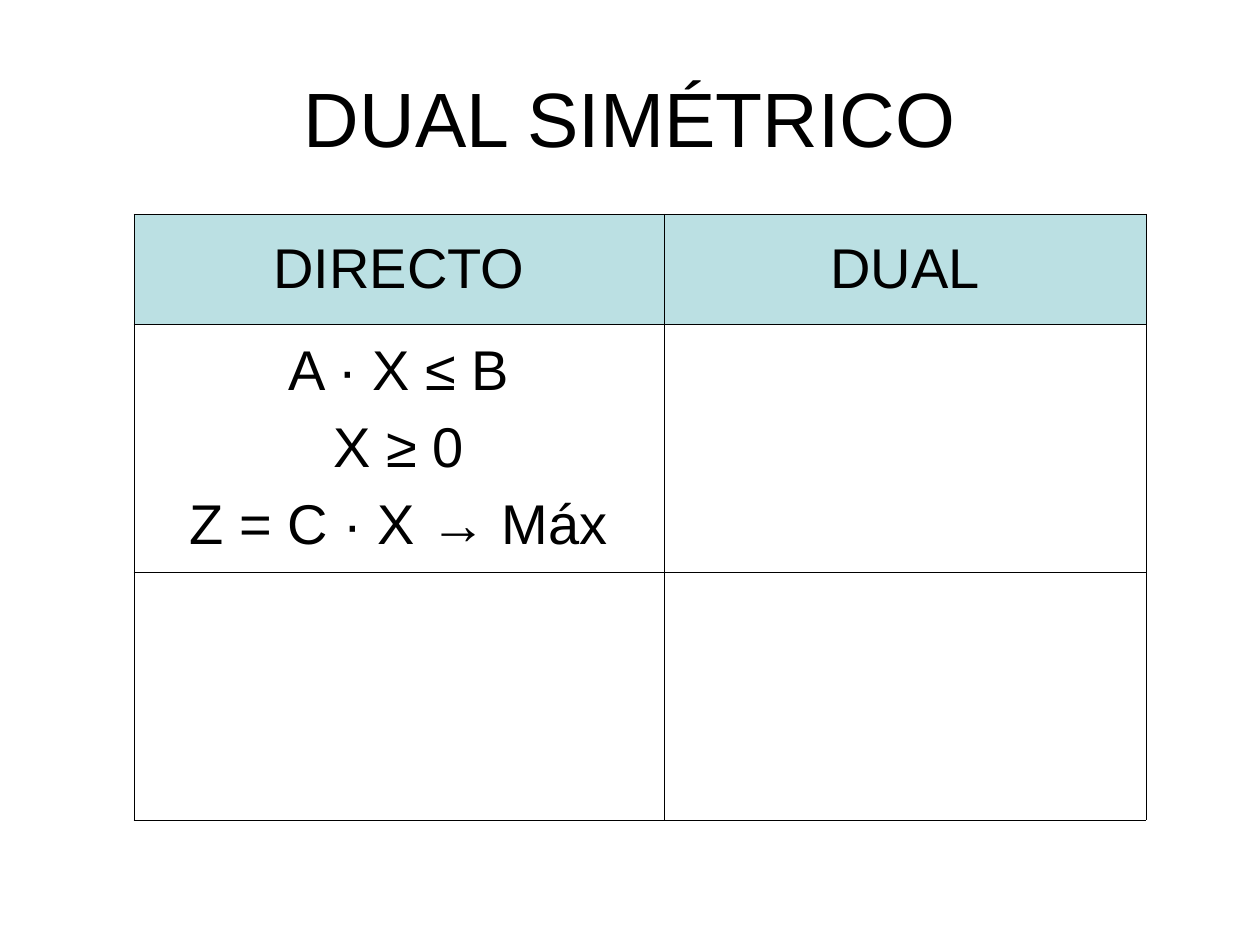
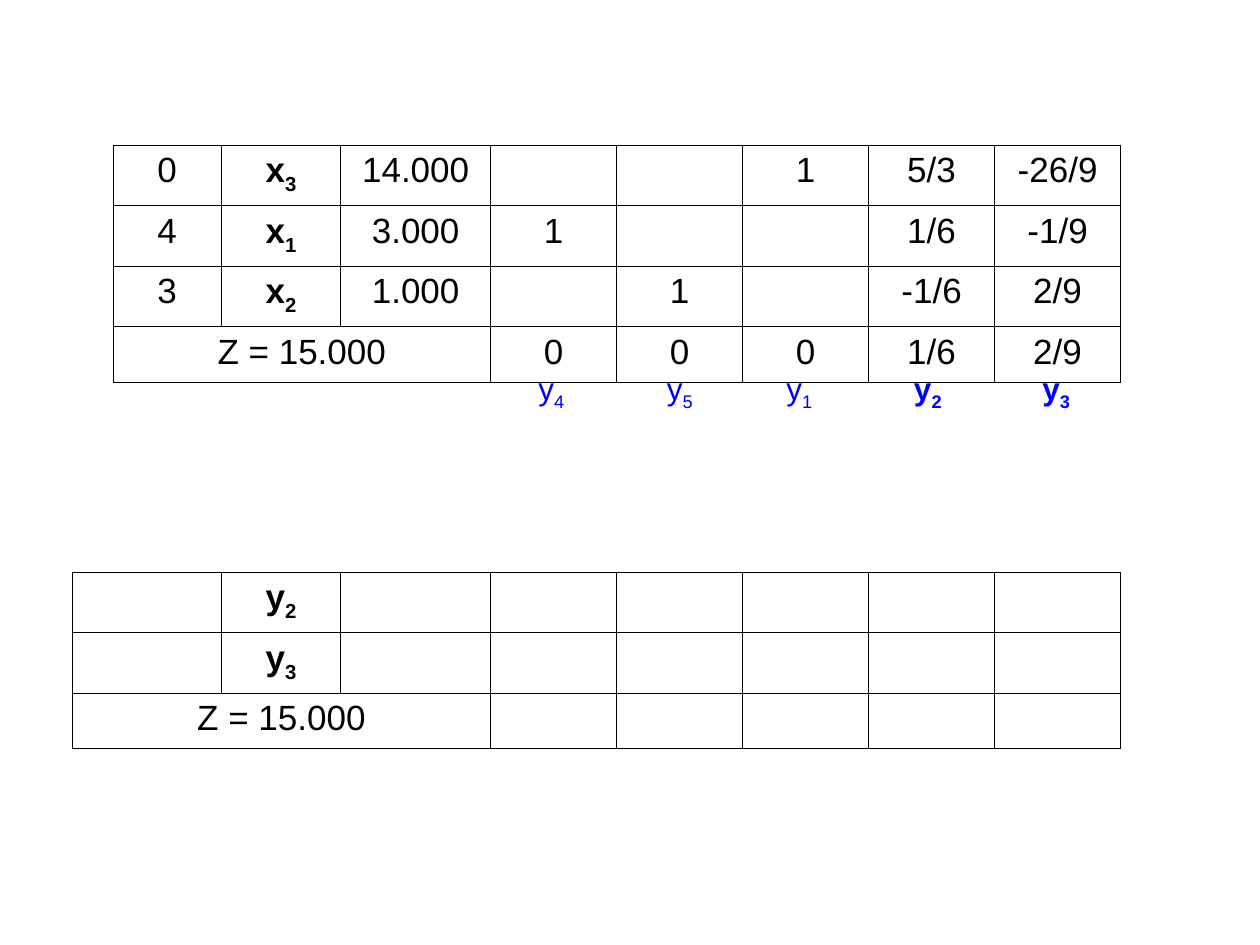
from lxml.etree import SubElement as Sub
from pptx import Presentation
from pptx.dml.color import RGBColor as Rgb
from pptx.enum.text import MSO_ANCHOR as Anchor, PP_ALIGN as Align
from pptx.oxml.ns import qn
from pptx.util import Cm, Pt

BLACK = Rgb(0, 0, 0)
BLUE = Rgb(0, 0, 255)
TEAL = Rgb(0xBB, 0xE0, 0xE3)
FONT = "Arial"
EDGE = Pt(0.45)
RIGHT = 22.59
SIDE = 2.54
TALL, LOW = 1.22, 1.12
TOTAL = "Z = 15.000"

FORMS = [
    ["DIRECTO", "DUAL"],
    ["A · X ≤ B\nX ≥ 0\nZ = C · X → Máx", ""],
    ["", ""],
]
PRIMAL = [
    ["0", "x_3", "14.000", "", "", "1", "5/3", "-26/9"],
    ["4", "x_1", "3.000", "1", "", "", "1/6", "-1/9"],
    ["3", "x_2", "1.000", "", "1", "", "-1/6", "2/9"],
    [TOTAL, "", "", "0", "0", "0", "1/6", "2/9"],
]
DUAL = [
    ["", "y_2"] + [""] * 6,
    ["", "y_3"] + [""] * 6,
    [TOTAL] + [""] * 7,
]
LABELS = [
    ("y_4", 9.91, False),
    ("y_5", 12.5, False),
    ("y_1", 14.91, False),
    ("y_2", 17.5, True),
    ("y_3", 20.09, True),
]


def write(frame, text, size=20, color=BLACK, bold=False, gap=0):
    for i, line in enumerate(text.split("\n")):
        para = frame.add_paragraph() if i else frame.paragraphs[0]
        para.alignment = Align.CENTER
        if i:
            para.space_before = Pt(gap)
        for k, part in enumerate(line.split("_")):
            run = para.add_run()
            run.text = part
            font = run.font
            font.name, font.size, font.bold = FONT, Pt(size), bold
            font.color.rgb = color
            if k:
                font._element.set("baseline", "-25000")


def border(cell):
    props = cell._tc.get_or_add_tcPr()
    for side in ("lnL", "lnR", "lnT", "lnB"):
        line = Sub(props, qn(f"a:{side}"), w=str(int(EDGE)))
        fill = Sub(line, qn("a:solidFill"))
        Sub(fill, qn("a:srgbClr"), val=str(BLACK))


def add_grid(slide, rows, left, top, wide, high, head=None,
             anchor=Anchor.TOP, size=20, gap=0):
    frame = slide.shapes.add_table(
        len(rows), len(wide), Cm(left), Cm(top), Cm(sum(wide)), Cm(sum(high)))
    grid = frame.table
    grid.first_row = grid.horz_banding = False
    for col, width in zip(grid.columns, wide):
        col.width = Cm(width)
    for r, (row, texts) in enumerate(zip(grid.rows, rows)):
        row.height = Cm(high[r])
        for cell, text in zip(row.cells, texts):
            border(cell)
            cell.vertical_anchor = anchor
            if head and r == 0:
                cell.fill.solid()
                cell.fill.fore_color.rgb = head
            else:
                cell.fill.background()
            if text:
                write(cell.text_frame, text, size, bold="_" in text, gap=gap)
    return grid


def add_tableau(slide, rows, top, first):
    wide = [first, 2.41, 3.02] + [SIDE] * 5
    high = [TALL] * (len(rows) - 1) + [LOW]
    grid = add_grid(slide, rows, RIGHT - sum(wide), top, wide, high)
    last = len(rows) - 1
    grid.cell(last, 0).merge(grid.cell(last, 2))


def add_label(slide, text, left, bold):
    box = slide.shapes.add_textbox(Cm(left), Cm(7.32), Cm(2.41), Cm(1.12))
    box.text_frame.word_wrap = True
    write(box.text_frame, text, 18, BLUE, bold)


def add_title(slide, text):
    title = slide.shapes.title
    title.left, title.top = Cm(1.27), Cm(0.76)
    title.width, title.height = Cm(22.86), Cm(3.18)
    title.text_frame.vertical_anchor = Anchor.MIDDLE
    write(title.text_frame, text, 44)


def main():
    deck = Presentation()
    deck.slide_width, deck.slide_height = Cm(25.4), Cm(19.05)

    slide = deck.slides.add_slide(deck.slide_layouts[5])
    add_title(slide, "DUAL SIMÉTRICO")
    add_grid(slide, FORMS, 2.7, 4.32, [10.69, 9.71], [2.21, 5, 5],
             head=TEAL, anchor=Anchor.MIDDLE, size=32, gap=8)

    slide = deck.slides.add_slide(deck.slide_layouts[6])
    add_tableau(slide, PRIMAL, 2.92, 2.18)
    add_tableau(slide, DUAL, 11.53, 3)
    for text, left, bold in LABELS:
        add_label(slide, text, left, bold)

    deck.save("out.pptx")


if __name__ == "__main__":
    main()
